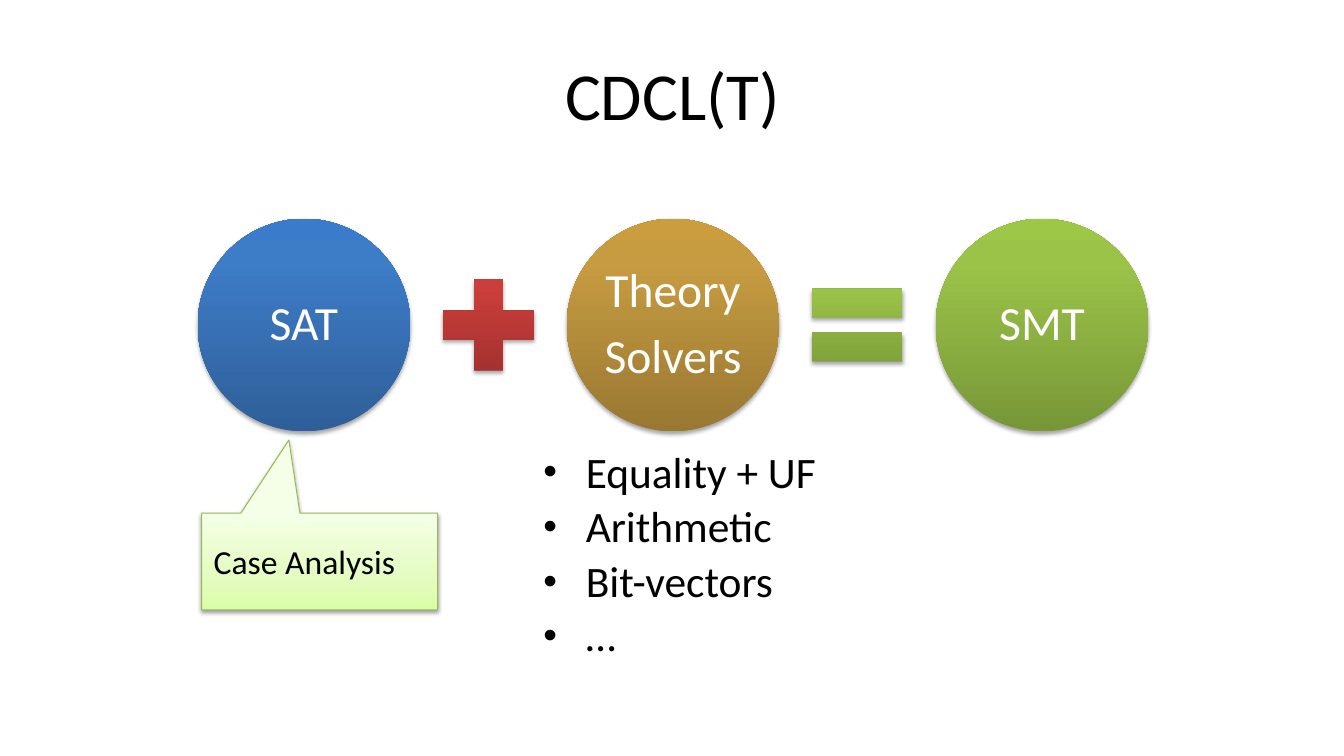
from lxml.etree import SubElement
from pptx import Presentation
from pptx.dml.color import RGBColor
from pptx.enum.shapes import MSO_SHAPE
from pptx.enum.text import MSO_ANCHOR, MSO_AUTO_SIZE, PP_ALIGN
from pptx.oxml.ns import qn
from pptx.util import Inches, Pt

BLACK = RGBColor(0x00, 0x00, 0x00)
WHITE = RGBColor(0xFF, 0xFF, 0xFF)
CALLOUT_LINE = RGBColor(0x98, 0xB9, 0x55)


def gradient(*stops):
    return [(pos, RGBColor.from_string(color)) for pos, color in stops]


BLUE = gradient((0, "2F5F99"), (80, "3D7CC7"), (100, "3A7CCB"))
RED = gradient((0, "9C2F2D"), (80, "CB3E3A"), (100, "CE3B37"))
GOLD = gradient((0, "997832"), (80, "C79C41"), (100, "CB9D3F"))
GREEN = gradient((0, "779737"), (80, "9BC348"), (100, "9DC746"))
PALE = gradient((0, "DAFDA7"), (35, "E4FCC2"), (100, "F5FFE7"))


def add_color(parent, color, **mods):
    clr = SubElement(parent, qn("a:srgbClr"), val=str(color))
    for name, value in mods.items():
        SubElement(clr, qn(f"a:{name}"), val=str(value))


def add_glossy_shape(s, kind, box, stops, alpha=35, dist=1.8):
    sp = s.shapes.add_shape(kind, *map(Inches, box))
    sp.fill.gradient()
    sp.fill.gradient_angle = 90
    gs_lst = sp.fill._xPr.find(qn("a:gradFill")).find(qn("a:gsLst"))
    gs_lst.clear()
    for pos, color in stops:
        add_color(SubElement(gs_lst, qn("a:gs"), pos=str(pos * 1000)), color)
    sp.line.fill.background()
    sp.shadow.inherit = False
    effects = sp._element.spPr.find(qn("a:effectLst"))
    shadow = SubElement(effects, qn("a:outerShdw"), blurRad=str(Pt(3.1)),
                        dist=str(Pt(dist)), dir="5400000", rotWithShape="0")
    add_color(shadow, BLACK, alpha=alpha * 1000)
    return sp


def write(sp, lines, size, color, inset, para=None, **frame):
    tf = sp.text_frame
    x, y = map(Inches, inset)
    fmt = {"word_wrap": True, "margin_left": x, "margin_right": x,
           "margin_top": y, "margin_bottom": y,
           "vertical_anchor": MSO_ANCHOR.MIDDLE,
           "auto_size": MSO_AUTO_SIZE.NONE, **frame}
    for name, value in fmt.items():
        setattr(tf, name, value)
    for i, line in enumerate(lines):
        p = tf.add_paragraph() if i else tf.paragraphs[0]
        for name, value in (para or {}).items():
            setattr(p, name, value)
        r = p.add_run()
        r.text = line
        for name, value in {"name": "Calibri", "size": Pt(size)}.items():
            setattr(r.font, name, value)
        r.font.color.rgb = color


def place(sp, box):
    for name, value in zip(("left", "top", "width", "height"), box):
        setattr(sp, name, Inches(value))


def add_title(s, box):
    sp = s.shapes.title
    place(sp, box)
    write(sp, ["CDCL(T)"], 48, BLACK, (0.1, 0.05), {"alignment": PP_ALIGN.CENTER})


def add_equation(s, left, top, size):
    terms = [(["SAT"], BLUE), (["Theory", "Solvers"], GOLD), (["SMT"], GREEN)]
    operators = [(MSO_SHAPE.MATH_PLUS, RED), (MSO_SHAPE.MATH_EQUAL, GREEN)]
    op_size, gap = 1.22, 0.165
    pitch = size + op_size + 2 * gap
    para = {"alignment": PP_ALIGN.CENTER, "line_spacing": 0.9, "space_after": Pt(10.5)}
    for i, (lines, stops) in enumerate(terms):
        sp = add_glossy_shape(s, MSO_SHAPE.OVAL, (left + i * pitch, top, size, size), stops)
        write(sp, lines, 34, WHITE, (0.05, 0.05), para)
    for i, (kind, stops) in enumerate(operators):
        x = left + i * pitch + size + gap
        y = top + (size - op_size) / 2
        add_glossy_shape(s, kind, (x, y, op_size, op_size), stops)


def add_theories(s, box):
    sp = s.placeholders[1]
    place(sp, box)
    write(sp, ["Equality + UF", "Arithmetic", "Bit-vectors", "…"], 31, BLACK, (0, 0),
          {"line_spacing": 0.9, "space_before": Pt(5.5), "alignment": PP_ALIGN.LEFT},
          vertical_anchor=MSO_ANCHOR.TOP, auto_size=MSO_AUTO_SIZE.SHAPE_TO_FIT_TEXT)
    for p in sp.text_frame.paragraphs:
        pPr = p._p.get_or_add_pPr()
        pPr.set("marL", str(Inches(0.42)))
        pPr.set("indent", str(Inches(-0.42)))
        SubElement(pPr, qn("a:buSzPct"), val="90000")
        SubElement(pPr, qn("a:buFont"), typeface="Arial")
        SubElement(pPr, qn("a:buChar"), char="•")


def add_callout(s, box):
    sp = add_glossy_shape(s, MSO_SHAPE.RECTANGULAR_CALLOUT, box, PALE, 38, 1.6)
    sp.adjustments[0] = -0.13
    sp.adjustments[1] = -1.255
    sp.line.color.rgb = CALLOUT_LINE
    sp.line.width = Pt(0.75)
    write(sp, ["Case Analysis"], 24, BLACK, (0.12, 0.06), {"alignment": PP_ALIGN.LEFT})


def main():
    prs = Presentation()
    prs.slide_width = Inches(13.33)
    prs.slide_height = Inches(7.5)
    s = prs.slides.add_slide(prs.slide_layouts[1])
    add_title(s, (0.67, 0.3, 12, 1.25))
    add_equation(s, 1.96, 2.17, 2.11)
    add_theories(s, (5.39, 4.47, 3.27, 2.19))
    add_callout(s, (2, 5.09, 2.34, 0.96))
    prs.save("out.pptx")


if __name__ == "__main__":
    main()
